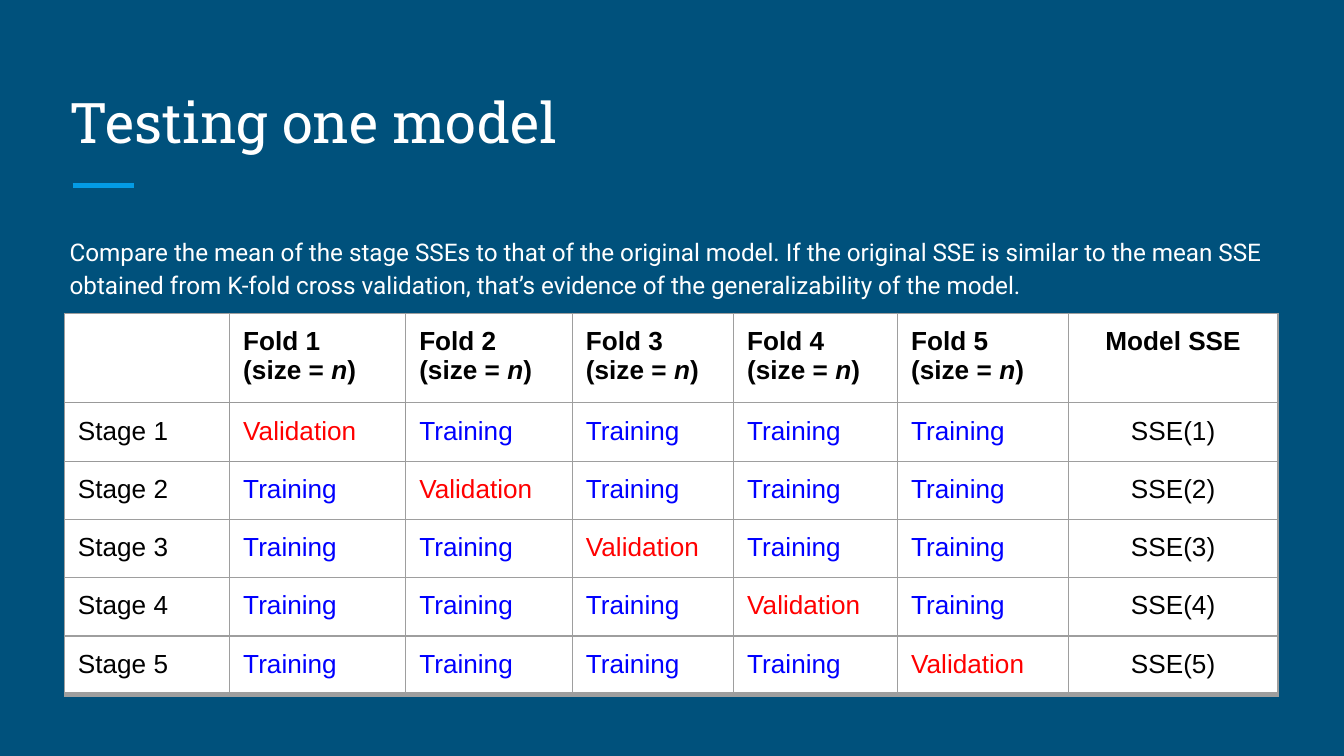
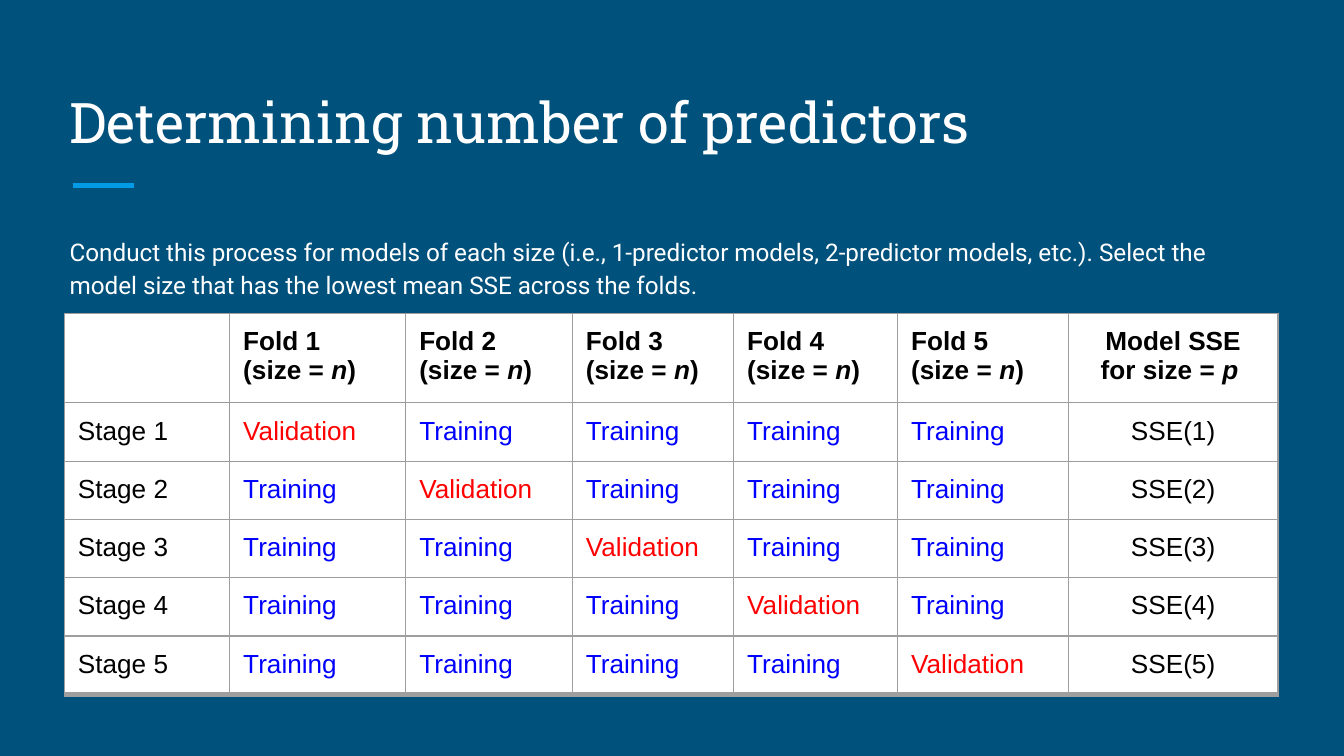
from lxml.etree import SubElement
from pptx import Presentation
from pptx.dml.color import RGBColor
from pptx.enum.shapes import MSO_CONNECTOR as Connector
from pptx.enum.text import MSO_ANCHOR as Anchor, PP_ALIGN as Align
from pptx.oxml.ns import qn
from pptx.util import Inches, Pt

COLORS = {
    "background": "00517C",
    "accent": "039BE5",
    "white": "FFFFFF",
    "black": "000000",
    "validation": "FF0000",
    "training": "0000FF",
    "border": "9E9E9E",
    "first_stage_border": "999999",
}
FONTS = {"title": "Roboto Slab", "body": "Roboto", "table": "Arial"}
SLIDE_WIDTH = 10
TITLE_BOX = (0.42, 0.5, 9.15, 0.75)
BODY_BOX = (0.42, 1.63, 9.15, 3.37)
TABLE_ORIGIN = (0.48, 2.33)
COLUMN_WIDTHS = (1.23, 1.31, 1.24, 1.2, 1.22, 1.27, 1.56)
ROW_HEIGHT = 0.43
FOLDS = 5
INSET = 0.1
FIRST_STAGE_CELLS = {(1, 0), (1, 1)}
SIDES = {"a:lnL": (0, -1), "a:lnR": (0, 1), "a:lnT": (-1, 0), "a:lnB": (1, 0)}

SLIDES = [
    (
        "Testing one model",
        "Compare the mean of the stage SSEs to that of the original model. "
        "If the original SSE is similar to the mean SSE obtained from K-fold "
        "cross validation, that’s evidence of the generalizability of the model.",
        [["Model SSE"]],
    ),
    (
        "Determining number of predictors",
        "Conduct this process for models of each size (i.e., 1-predictor models, "
        "2-predictor models, etc.). Select the model size that has the lowest "
        "mean SSE across the folds.",
        [["Model SSE"], ["for size = ", "p "]],
    ),
]


def rgb(name):
    return RGBColor.from_string(COLORS[name])


def style_span(span, font, size, color, bold=False, italic=False):
    span.font.name = FONTS[font]
    span.font.size = Pt(size)
    span.font.color.rgb = rgb(color)
    span.font.bold = bold
    span.font.italic = italic


def set_insets(target):
    target.margin_left = target.margin_right = Inches(INSET)
    target.margin_top = target.margin_bottom = Inches(INSET)


def add_text(page, box, text, font, size, anchor=Anchor.TOP):
    frame = page.shapes.add_textbox(*map(Inches, box)).text_frame
    frame.word_wrap = True
    frame.vertical_anchor = anchor
    set_insets(frame)
    frame.text = text
    para = frame.paragraphs[0]
    style_span(para.runs[0], font, size, "white")
    return para


def add_heading(page, box, title):
    left, top, width, height = box
    add_text(page, box, title, "title", 30, Anchor.BOTTOM)
    rule_left, rule_top = left + 0.12, top + height + 0.13
    rule = page.shapes.add_connector(
        Connector.STRAIGHT,
        *map(Inches, (rule_left, rule_top, rule_left + 0.46, rule_top)),
    )
    rule.line.color.rgb = rgb("accent")
    rule.line.width = Pt(3)
    SubElement(rule._element.spPr, qn("a:effectLst"))


def add_body(page, box, text):
    para = add_text(page, box, text, "body", 13)
    para.line_spacing = 1.15
    para.space_after = Pt(16)


def add_borders(cell, row, column):
    properties = cell._tc.get_or_add_tcPr()
    for side, (down, across) in SIDES.items():
        touching = {(row, column), (row + down, column + across)}
        color = "first_stage_border" if touching & FIRST_STAGE_CELLS else "border"
        width = 3 if side == "a:lnB" and row == FOLDS else 0.75
        line = SubElement(properties, qn(side), w=str(Pt(width)))
        fill = SubElement(line, qn("a:solidFill"))
        SubElement(fill, qn("a:srgbClr"), val=COLORS[color])


def cell_content(row, column, sse_heading):
    if row == 0 and column == 0:
        return [], "black"
    if row == 0 and column > FOLDS:
        return sse_heading, "black"
    if row == 0:
        return [[f"Fold {column}"], ["(size = ", "n", ")"]], "black"
    if column == 0:
        return [[f"Stage {row}"]], "black"
    if column > FOLDS:
        return [[f"SSE({row})"]], "black"
    if row == column:
        return [["Validation"]], "validation"
    return [["Training"]], "training"


def fill_cell(cell, row, column, sse_heading):
    add_borders(cell, row, column)
    cell.fill.solid()
    cell.fill.fore_color.rgb = rgb("white")
    set_insets(cell)
    lines, color = cell_content(row, column, sse_heading)
    for number, parts in enumerate(lines):
        frame = cell.text_frame
        para = frame.add_paragraph() if number else frame.paragraphs[0]
        para.alignment = Align.CENTER if column > FOLDS else Align.LEFT
        for position, part in enumerate(parts):
            span = para.add_run()
            span.text = part
            style_span(span, "table", 14, color, row == 0, position == 1)


def add_fold_table(page, origin, sse_heading):
    row_count = FOLDS + 1
    box = (*origin, sum(COLUMN_WIDTHS), row_count * ROW_HEIGHT)
    table = page.shapes.add_table(
        row_count, len(COLUMN_WIDTHS), *map(Inches, box)
    ).table
    table.first_row = table.horz_banding = False
    for column, width in zip(table.columns, COLUMN_WIDTHS):
        column.width = Inches(width)
    for row in range(row_count):
        table.rows[row].height = Inches(ROW_HEIGHT)
        for column in range(len(COLUMN_WIDTHS)):
            fill_cell(table.cell(row, column), row, column, sse_heading)


def add_fold_slide(deck, title, body, sse_heading):
    page = deck.slides.add_slide(deck.slide_layouts[6])
    page.background.fill.solid()
    page.background.fill.fore_color.rgb = rgb("background")
    add_heading(page, TITLE_BOX, title)
    add_body(page, BODY_BOX, body)
    add_fold_table(page, TABLE_ORIGIN, sse_heading)


def main():
    deck = Presentation()
    deck.slide_width = Inches(SLIDE_WIDTH)
    deck.slide_height = Inches(SLIDE_WIDTH * 9 / 16)
    for title, body, sse_heading in SLIDES:
        add_fold_slide(deck, title, body, sse_heading)
    deck.save("out.pptx")


if __name__ == "__main__":
    main()
